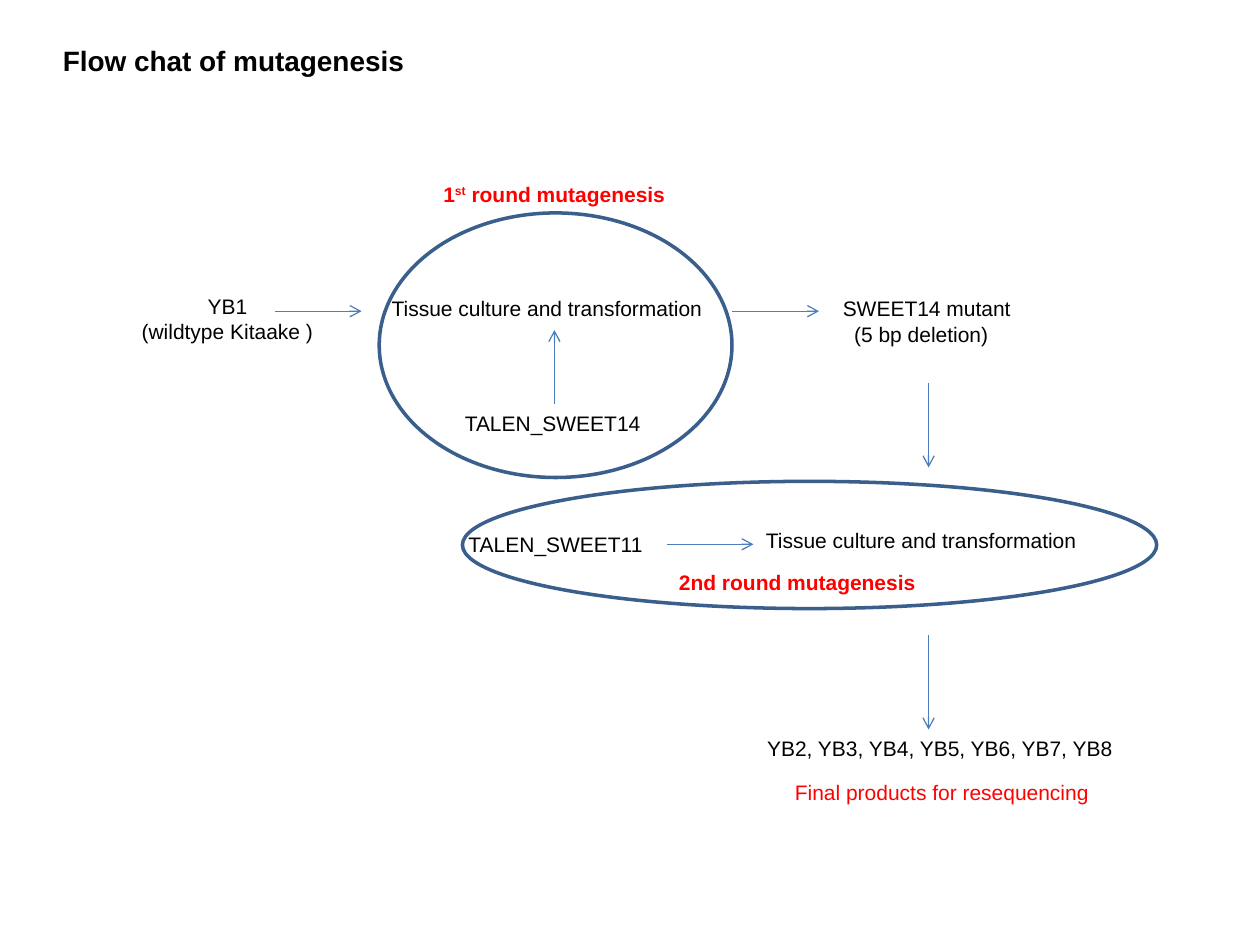
import dataclasses
import typing

import pptx
import pptx.dml.color
import pptx.enum.shapes
import pptx.enum.text
import pptx.oxml
import pptx.oxml.ns
import pptx.util

Inches = pptx.util.Inches
Align = pptx.enum.text.PP_ALIGN
COLORS = {"text": "000000", "accent": "FF0000", "arrow": "4B7EBC", "ring": "3A5F8C"}
FONT = "Arial"
ROW = 2.47
DROP = 7.37
STEP = 0.69
TISSUE = "Tissue culture and transformation"


@dataclasses.dataclass
class Run:
    """A piece of text, raised or not."""
    text: str
    raised: bool = False


@dataclasses.dataclass
class Label:
    """A text box; each line is a list of runs."""
    left: float
    top: float
    width: float
    lines: list[list[Run]]
    height: float = 0.3
    size: int = 12
    color: str = "text"
    bold: bool = False
    align: typing.Any = Align.LEFT
    wrap: bool = False
    indent: float = 0


class Arrow(typing.NamedTuple):
    """Start and end of an arrow."""
    x1: float
    y1: float
    x2: float
    y2: float


class Ring(typing.NamedTuple):
    """Frame of an ellipse."""
    left: float
    top: float
    width: float
    height: float


def plain(*lines: str) -> list[list[Run]]:
    """Make one run per line."""
    return [[Run(line)] for line in lines]


LABELS = [
    Label(0.4, 0.3, 2.95, plain("Flow chat of mutagenesis"), 0.37, 16, bold=True),
    Label(1.02, 2.28, 1.57, plain("YB1", "(wildtype Kitaake )"), 0.5, align=Align.CENTER),
    Label(3.01, 2.3, 2.78, plain(TISSUE)),
    Label(3.59, 3.21, 1.61, plain("TALEN_SWEET14")),
    Label(6.59, 2.3, 1.55, plain("SWEET14 mutant", "(5 bp deletion)"), 0.5, indent=0.09),
    Label(5.98, 4.14, 2.78, plain(TISSUE)),
    Label(3.62, 4.17, 1.6, plain("TALEN_SWEET11")),
    Label(5.99, 5.79, 3.07, plain("YB2, YB3, YB4, YB5, YB6, YB7, YB8")),
    Label(3.42, 1.39, 2, [[Run("1"), Run("st", True), Run(" round mutagenesis")]],
          color="accent", bold=True),
    Label(5.29, 4.47, 2.43, plain("2nd round mutagenesis"),
          color="accent", bold=True, wrap=True),
    Label(6.21, 6.14, 2.55, plain("Final products for resequencing"), color="accent"),
]
ARROWS = [
    Arrow(2.18, ROW, 2.18 + STEP, ROW),
    Arrow(5.81, ROW, 5.81 + STEP, ROW),
    Arrow(5.29, 4.32, 5.29 + STEP, 4.32),
    Arrow(4.4, 3.21, 4.4, 2.62),
    Arrow(DROP, 3.04, DROP, 3.71),
    Arrow(DROP, 5.04, DROP, 5.79),
]
RINGS = [Ring(3.01, 1.69, 2.8, 2.1), Ring(3.67, 3.82, 5.51, 1.01)]


def tint(name: str) -> pptx.dml.color.RGBColor:
    """Look up a colour by name."""
    return pptx.dml.color.RGBColor.from_string(COLORS[name])


def draw_label(shapes: typing.Any, label: Label) -> None:
    """Add a text box run by run."""
    box = shapes.add_textbox(*map(Inches, (label.left, label.top, label.width, label.height)))
    frame = box.text_frame
    frame.word_wrap = label.wrap
    frame.auto_size = pptx.enum.text.MSO_AUTO_SIZE.SHAPE_TO_FIT_TEXT
    for i, line in enumerate(label.lines):
        para = frame.add_paragraph() if i else frame.paragraphs[0]
        para.alignment = label.align
        if i and label.indent:
            para._p.get_or_add_pPr().set("marL", str(Inches(label.indent)))
        for part in line:
            run = para.add_run()
            run.text = part.text
            font = run.font
            font.name, font.size, font.bold = FONT, pptx.util.Pt(label.size), label.bold
            font.color.rgb = tint(label.color)
            if part.raised:
                run._r.get_or_add_rPr().set("baseline", "30000")


def draw_arrow(shapes: typing.Any, arrow: Arrow) -> None:
    """Add a thin line with an open head at its end."""
    link = shapes.add_connector(
        pptx.enum.shapes.MSO_CONNECTOR.STRAIGHT, *map(Inches, arrow))
    link.line.color.rgb = tint("arrow")
    link.line.width = pptx.util.Pt(0.75)
    tail = pptx.oxml.parse_xml(
        f'<a:tailEnd {pptx.oxml.ns.nsdecls("a")} type="arrow"/>')
    link.line._get_or_add_ln().append(tail)
    link._element.spPr.append(
        pptx.oxml.parse_xml(f'<a:effectLst {pptx.oxml.ns.nsdecls("a")}/>'))


def draw_ring(shapes: typing.Any, ring: Ring) -> None:
    """Add an unfilled ellipse."""
    oval = shapes.add_shape(pptx.enum.shapes.MSO_SHAPE.OVAL, *map(Inches, ring))
    oval.shadow.inherit = False
    oval.fill.background()
    oval.line.color.rgb = tint("ring")
    oval.line.width = pptx.util.Pt(2)


def main() -> None:
    """Build and save the slide."""
    deck = pptx.Presentation()
    deck.slide_width, deck.slide_height = Inches(10), Inches(7.5)
    shapes = deck.slides.add_slide(deck.slide_layouts[6]).shapes
    for draw, items in ((draw_ring, RINGS), (draw_arrow, ARROWS), (draw_label, LABELS)):
        for item in items:
            draw(shapes, item)
    deck.save("out.pptx")


main()
